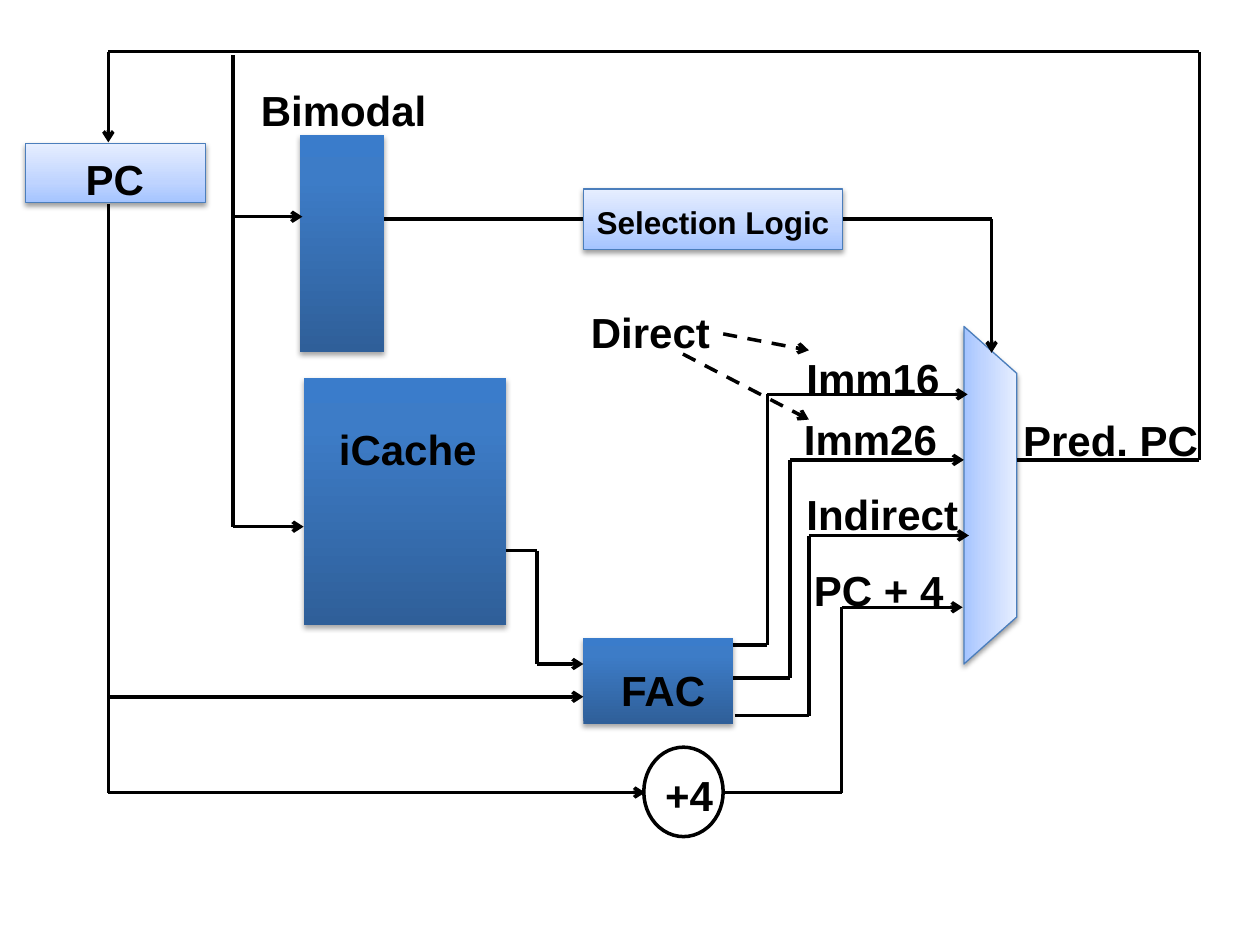
"""Build a block diagram of next-PC prediction with a selecting mux."""
from copy import deepcopy
from itertools import pairwise
from lxml import etree
from pptx import Presentation
from pptx.dml.color import RGBColor
from pptx.enum import dml, shapes, text
from pptx.oxml.ns import qn
from pptx.util import Inches, Pt

HUES = {"ink": "000000", "edge": "4B7EBC"}
LOOKS = {
    "pale": {"stops": [(0, "A4C4FF"), (0.35, "BFD4FF"), (1, "E6EEFF")],
             "edge": True, "alpha": 38000, "drop": 1.6},
    "deep": {"stops": [(0, "2F5F99"), (0.8, "3D7CC7"), (1, "3A7CCB")],
             "edge": False, "alpha": 35000, "drop": 1.8},
}
KIND = shapes.MSO_SHAPE
BLOCKS = {
    "pc": (KIND.RECTANGLE, "pale", 0.2, 1.14, 1.43, 0.47),
    "cache": (KIND.RECTANGLE, "deep", 2.41, 3, 1.61, 1.96),
    "fac": (KIND.RECTANGLE, "deep", 4.63, 5.06, 1.19, 0.69),
    "adder": (KIND.OVAL, None, 5.11, 5.93, 0.63, 0.71),
    "bimodal": (KIND.RECTANGLE, "deep", 2.38, 1.07, 0.67, 1.72),
    "mux": (KIND.TRAPEZOID, "pale", 6.52, 3.72, 2.68, 0.42),
    "logic": (KIND.RECTANGLE, "pale", 4.63, 1.5, 2.06, 0.48),
}
LABELS = [
    ("PC", 0.51, 1.07, 0.84, 0.55),
    ("iCache", 2.52, 3.21, 1.5, 0.62),
    ("FAC", 4.76, 5.12, 1.12, 0.55),
    ("+4", 5.11, 5.96, 0.84, 0.55),
    ("Imm26", 6.21, 3.13, 1.88, 0.52),
    ("Imm16", 6.23, 2.65, 2.19, 0.52),
    ("PC + 4", 6.29, 4.33, 1.38, 0.52),
    ("Pred. PC", 7.95, 3.14, 1.93, 0.52),
    ("Bimodal", 1.9, 0.52, 1.8, 0.55),
    ("Indirect", 6.23, 3.73, 1.88, 0.52),
    ("Direct", 4.52, 2.28, 1.44, 0.52),
]
ARROWS = [
    [(8.07, 3.65), (9.52, 3.65), (9.52, 0.41), (0.86, 0.41), (0.86, 1.13)],
    [(0.86, 1.62), (0.86, 6.29), (5.12, 6.29)],
    [(0.86, 5.53), (4.63, 5.53)],
    [(1.85, 0.44), (1.85, 4.18), (2.41, 4.18)],
    [(1.85, 1.72), (2.4, 1.72)],
    [(4.02, 4.37), (4.26, 4.37), (4.26, 5.27), (4.63, 5.27)],
    [(6.69, 1.74), (7.87, 1.74), (7.87, 2.8)],
    [(5.82, 5.12), (6.09, 5.12), (6.09, 3.13), (7.68, 3.13)],
    [(5.82, 5.38), (6.27, 5.38), (6.27, 3.65), (7.65, 3.65)],
    [(5.83, 5.68), (6.42, 5.68), (6.42, 4.25), (7.69, 4.25)],
    [(5.74, 6.29), (6.68, 6.29), (6.68, 4.82), (7.64, 4.82)],
]
DASHES = [[(5.74, 2.65), (6.42, 2.78)], [(5.42, 2.81), (6.42, 3.33)]]
LINK = [(3.05, 1.74), (4.63, 1.74)]


def tint(name):
    return RGBColor.from_string(HUES[name])


def shade(shape, look):
    fill = shape.fill
    fill.gradient()
    fill.gradient_angle = 90
    stops = shape._element.spPr.find(".//" + qn("a:gsLst"))
    stops.append(deepcopy(stops[0]))
    for stop, (place, hue) in zip(fill.gradient_stops, look["stops"]):
        stop.position = place
        stop.color.rgb = RGBColor.from_string(hue)
    effects = shape._element.spPr.find(qn("a:effectLst"))
    drop = etree.SubElement(effects, qn("a:outerShdw"), blurRad=str(Pt(3.1)),
                            dist=str(Pt(look["drop"])), dir="5400000", rotWithShape="0")
    hue = etree.SubElement(drop, qn("a:srgbClr"), val=HUES["ink"])
    etree.SubElement(hue, qn("a:alpha"), val=str(look["alpha"]))


def block(slide, kind, style, *box):
    shape = slide.shapes.add_shape(kind, *map(Inches, box))
    shape.shadow.inherit = False
    if style is None:
        shape.fill.background()
        shape.line.color.rgb = tint("ink")
        shape.line.width = Pt(2)
        return shape
    look = LOOKS[style]
    shade(shape, look)
    if look["edge"]:
        shape.line.color.rgb = tint("edge")
        shape.line.width = Pt(0.75)
    else:
        shape.line.fill.background()
    return shape


def write(frame, words, size):
    para = frame.paragraphs[0]
    para.text = words
    para.line_spacing = 1.15
    para.space_after = Pt(10)
    font = para.font
    font.name, font.size, font.bold = "Arial", Pt(size), True
    font.color.rgb = tint("ink")
    return para


def label(slide, words, *box):
    frame = slide.shapes.add_textbox(*map(Inches, box)).text_frame
    frame.word_wrap = True
    frame.margin_left = frame.margin_right = Inches(0.17)
    frame.margin_top = frame.margin_bottom = Inches(0.09)
    write(frame, words, 24)


def wire(slide, points, arrow=True, dash=False):
    for start, end in pairwise(points):
        line = slide.shapes.add_connector(shapes.MSO_CONNECTOR.STRAIGHT,
                                          *map(Inches, start + end))
        line.line.color.rgb = tint("ink")
        line.line.width = Pt(2)
        if dash:
            line.line.dash_style = dml.MSO_LINE.DASH
        etree.SubElement(line._element.spPr, qn("a:effectLst"))
    if arrow:
        etree.SubElement(line.line._get_or_add_ln(), qn("a:tailEnd"), type="arrow")


def main():
    deck = Presentation()
    deck.slide_width, deck.slide_height = Inches(10), Inches(7.5)
    slide = deck.slides.add_slide(deck.slide_layouts[6])
    made = {name: block(slide, *parts) for name, parts in BLOCKS.items()}
    made["mux"].rotation = 90
    made["mux"].adjustments[0] = 0.89
    frame = made["logic"].text_frame
    frame.word_wrap = True
    frame.vertical_anchor = text.MSO_ANCHOR.MIDDLE
    frame.margin_left = frame.margin_right = 0
    write(frame, "Selection Logic", 18).alignment = text.PP_ALIGN.CENTER
    for points in ARROWS:
        wire(slide, points)
    for points in DASHES:
        wire(slide, points, dash=True)
    wire(slide, LINK, arrow=False)
    for parts in LABELS:
        label(slide, *parts)
    deck.save("out.pptx")


if __name__ == "__main__":
    main()
